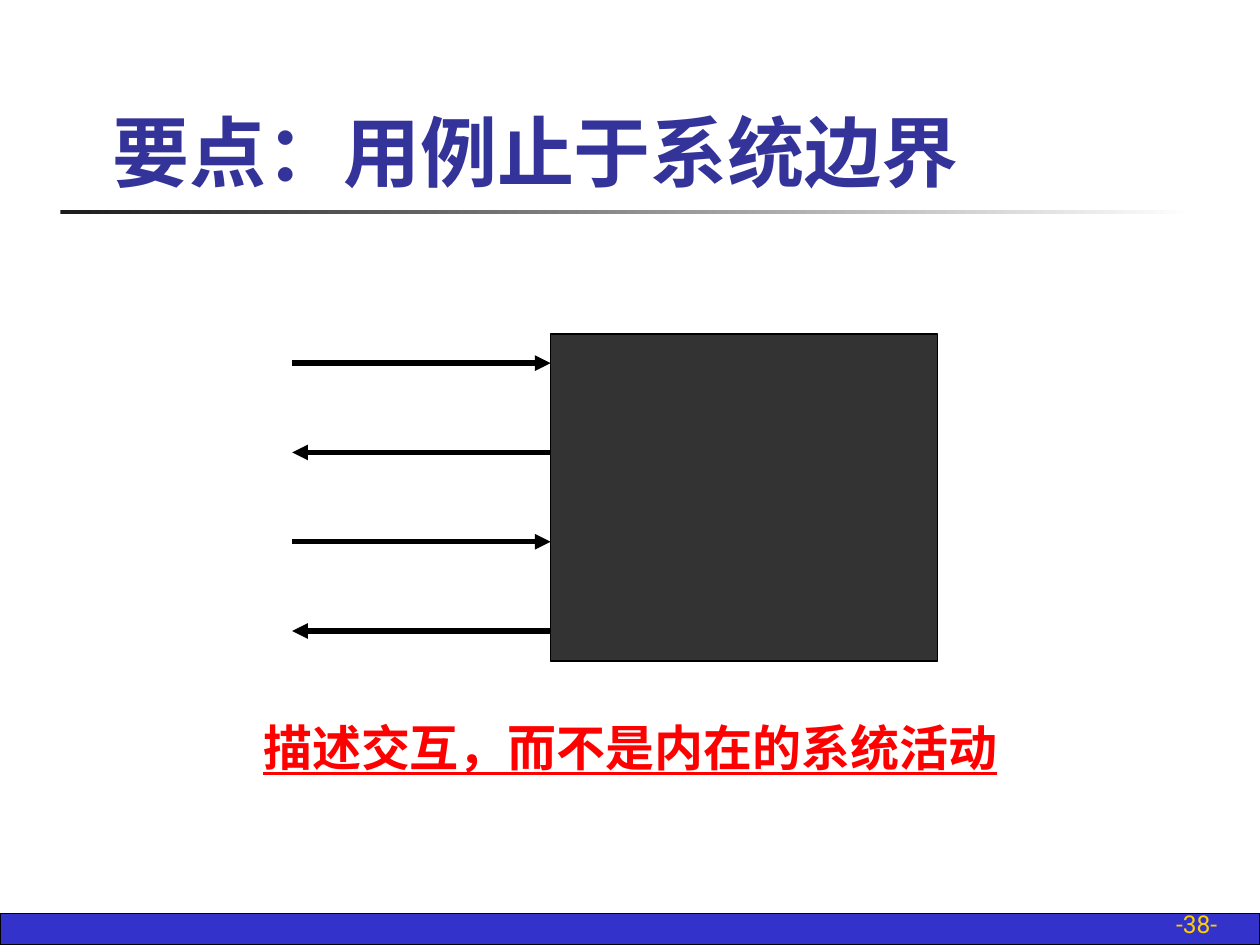
from dataclasses import dataclass

from lxml import etree
from pptx import Presentation
from pptx.dml.color import RGBColor
from pptx.enum.shapes import MSO_CONNECTOR, MSO_SHAPE
from pptx.enum.text import MSO_ANCHOR, PP_ALIGN
from pptx.oxml.ns import qn
from pptx.util import Cm, Pt

RECT = MSO_SHAPE.RECTANGLE
STRAIGHT = MSO_CONNECTOR.STRAIGHT
TOP, BOTTOM = MSO_ANCHOR.TOP, MSO_ANCHOR.BOTTOM
LEFT, CENTER, RIGHT = PP_ALIGN.LEFT, PP_ALIGN.CENTER, PP_ALIGN.RIGHT


@dataclass
class Box:
    """Position and size in centimetres."""
    x: float
    y: float
    w: float
    h: float

    def emu(self) -> tuple:
        return Cm(self.x), Cm(self.y), Cm(self.w), Cm(self.h)


@dataclass
class Label:
    text: str
    box: Box
    color: str
    font: dict
    align: PP_ALIGN
    anchor: MSO_ANCHOR


@dataclass
class Arrow:
    x1: float
    x2: float
    y: float


def rgb(value: str) -> RGBColor:
    return RGBColor.from_string(value)


def add_rect(s, box: Box):
    sp = s.shapes.add_shape(RECT, *box.emu())
    sp.shadow.inherit = False
    return sp


def add_block(s, box: Box, fill: str, width: float) -> None:
    sp = add_rect(s, box)
    sp.fill.solid()
    sp.fill.fore_color.rgb = rgb(fill)
    sp.line.color.rgb = rgb("000000")
    sp.line.width = Pt(width)


def add_gradient_rule(s, box: Box, colors: tuple) -> None:
    sp = add_rect(s, box)
    sp.line.fill.background()
    sp.fill.gradient()
    sp.fill.gradient_angle = 0
    for stop, position, color in zip(sp.fill.gradient_stops, (0, 1), colors):
        stop.position = position
        stop.color.rgb = rgb(color)


def add_label(s, label: Label) -> None:
    tf = s.shapes.add_textbox(*label.box.emu()).text_frame
    tf.word_wrap = True
    tf.vertical_anchor = label.anchor
    p = tf.paragraphs[0]
    p.alignment = label.align
    r = p.add_run()
    r.text = label.text
    for name, value in label.font.items():
        setattr(r.font, name, value)
    r.font.color.rgb = rgb(label.color)


def add_arrow(s, arrow: Arrow) -> None:
    c = s.shapes.add_connector(
        STRAIGHT, Cm(arrow.x1), Cm(arrow.y), Cm(arrow.x2), Cm(arrow.y))
    c.line.color.rgb = rgb("000000")
    c.line.width = Pt(3)
    sp_pr = c.line._get_or_add_ln().getparent()
    etree.SubElement(sp_pr.find(qn("a:ln")), qn("a:tailEnd"), type="triangle")
    etree.SubElement(sp_pr, qn("a:effectLst"))


SYSTEM = Box(11.1, 6.73, 7.8, 6.6)
ARROW_START, ARROW_TOP, ARROW_STEP = 5.89, 7.32, 1.8

LABELS = [
    Label("-38-", Box(19.51, 18.21, 5.28, 0.84), "FFCF01",
          {"size": Pt(14), "name": "Roboto"}, RIGHT, BOTTOM),
    Label("要点：用例止于系统边界", Box(2.01, 0.91, 21.64, 3.18), "333399",
          {"size": Pt(44), "name": "Times New Roman", "bold": True},
          LEFT, BOTTOM),
    Label("描述交互，而不是内在的系统活动", Box(1.3, 14.33, 22.81, 1.45), "FF0000",
          {"size": Pt(28), "name": "Arial", "bold": True, "underline": True},
          CENTER, TOP),
]


def main() -> None:
    prs = Presentation()
    prs.slide_width, prs.slide_height = Cm(25.4), Cm(19.05)
    s = prs.slides.add_slide(prs.slide_layouts[6])

    # Footer bar and rule under the title
    add_block(s, Box(0, 18.42, 25.4, 0.63), "3333CC", 0.75)
    add_gradient_rule(s, Box(1.22, 4.24, 22.86, 0.08), ("1C1C1C", "FFFFFF"))

    # System as a black box, with messages going in and out in turn
    add_block(s, SYSTEM, "333333", 1)
    for i in range(4):
        ends = (ARROW_START, SYSTEM.x)
        if i % 2:
            ends = ends[::-1]
        add_arrow(s, Arrow(*ends, ARROW_TOP + i * ARROW_STEP))

    # Page number, title and caption
    for label in LABELS:
        add_label(s, label)

    prs.save("out.pptx")


if __name__ == "__main__":
    main()
